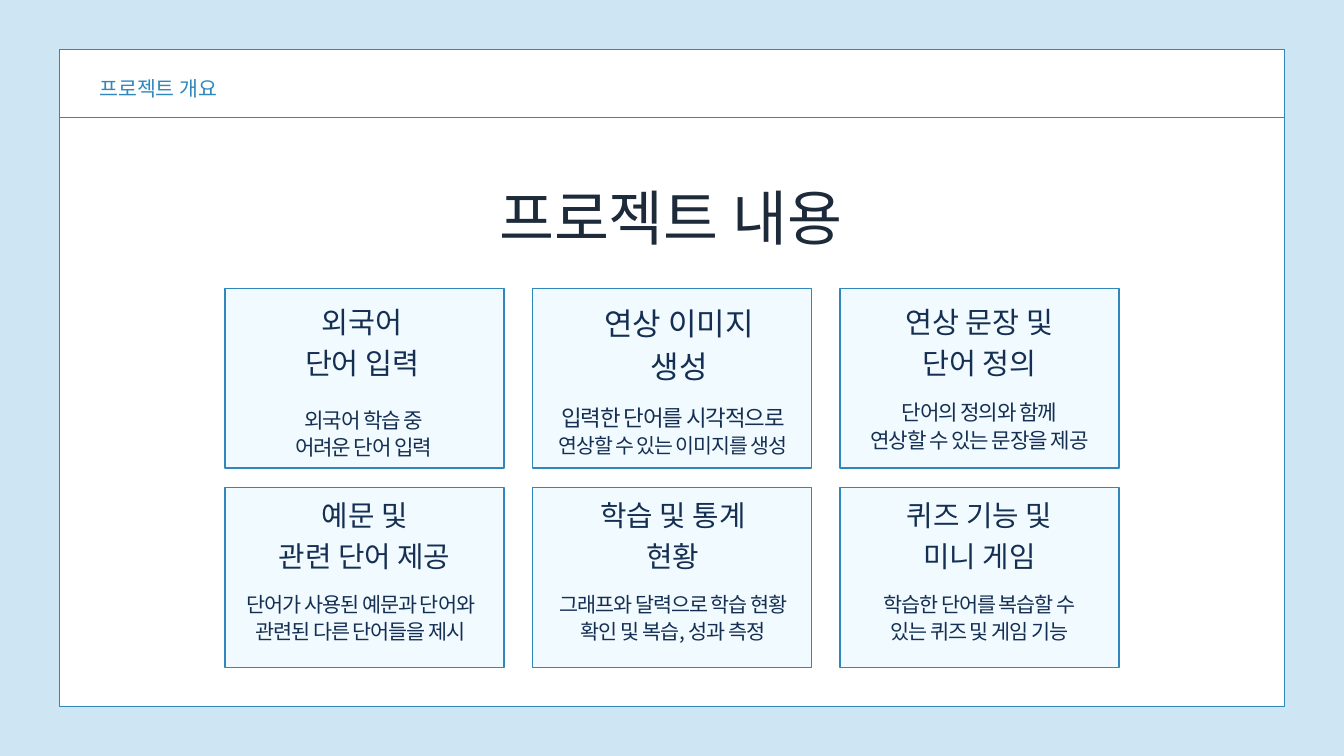
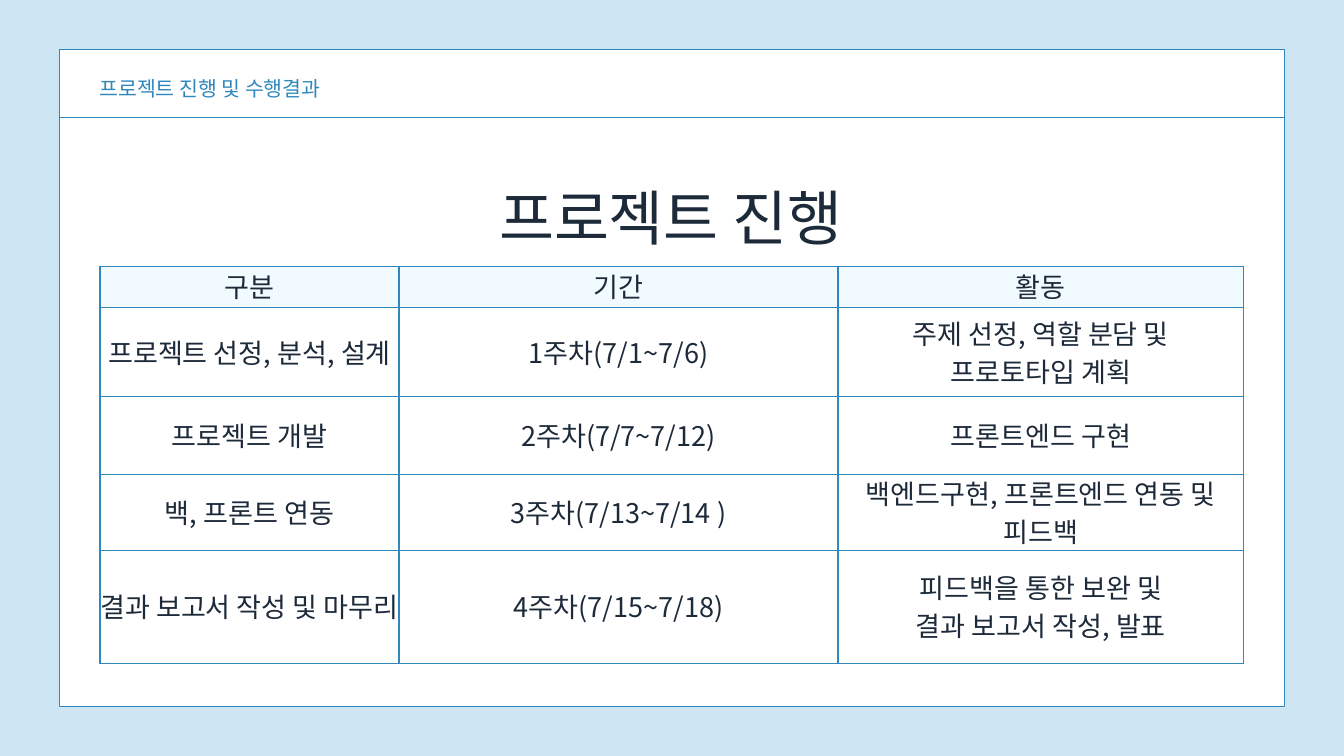
from dataclasses import dataclass
from itertools import product

from lxml.etree import SubElement
from pptx import Presentation
from pptx.dml.color import RGBColor
from pptx.enum.shapes import MSO_CONNECTOR, MSO_SHAPE
from pptx.enum.text import MSO_ANCHOR, MSO_AUTO_SIZE, PP_ALIGN
from pptx.oxml.ns import qn
from pptx.util import Pt


@dataclass(frozen=True)
class Theme:
    font: str = "Noto Sans CJK KR"
    backdrop: RGBColor = RGBColor(0xCE, 0xE6, 0xF4)
    panel: RGBColor = RGBColor(0xFF, 0xFF, 0xFF)
    tint: RGBColor = RGBColor(0xF1, 0xFA, 0xFF)
    accent: RGBColor = RGBColor(0x30, 0x87, 0xBB)
    ink: RGBColor = RGBColor(0x1D, 0x2A, 0x3A)
    navy: RGBColor = RGBColor(0x15, 0x2F, 0x52)
    title_size: float = 64
    section_size: float = 22
    table_size: float = 29
    rule_width: float = 1.5
    leading: float = 1.4
    tight_leading: float = 1.3
    tight_tracking: float = -0.05


@dataclass(frozen=True)
class Feature:
    heading: tuple
    heading_size: float
    body: tuple
    body_sizes: tuple
    body_top: float
    heading_shift: float = 0
    body_shift: float = 0


FEATURES = [
    Feature(("외국어", "단어 입력"), 31.4,
            ("외국어 학습 중", "어려운 단어 입력"), (22.7, 22.7), 434, -2.5, -1),
    Feature(("연상 이미지", "생성"), 33.2,
            ("입력한 단어를 시각적으로", "연상할 수 있는 이미지를 생성"), (24, 22), 431, 7.5, 1),
    Feature(("연상 문장 및", "단어 정의"), 31.4,
            ("단어의 정의와 함께", "연상할 수 있는 문장을 제공"), (22.7, 22.7), 426),
    Feature(("예문 및", "관련 단어 제공"), 30.8,
            ("단어가 사용된 예문과 단어와 관련된 다른 단어들을 제시",), (22.2,), 632, 0, -4.5),
    Feature(("학습 및 통계", "현황"), 30.8,
            ("그래프와 달력으로 학습 현황 확인 및 복습, 성과 측정",), (22.2,), 632, 1, 1),
    Feature(("퀴즈 기능 및", "미니 게임"), 30.8,
            ("학습한 단어를 복습할 수", "있는 퀴즈 및 게임 기능"), (22.2, 22.2), 632),
]

SCHEDULE = [
    [("구분",), ("기간",), ("활동",)],
    [("프로젝트 선정, 분석, 설계",), ("1주차(7/1~7/6)",), ("주제 선정, 역할 분담 및", "프로토타입 계획")],
    [("프로젝트 개발",), ("2주차(7/7~7/12)",), ("프론트엔드 구현",)],
    [("백, 프론트 연동",), ("3주차(7/13~7/14 )",), ("백엔드구현, 프론트엔드 연동 및 피드백",)],
    [("결과 보고서 작성 및 마무리",), ("4주차(7/15~7/18)",), ("피드백을 통한 보완 및", "결과 보고서 작성, 발표")],
]
SCHEDULE_WIDTHS = (320.4, 470.2, 434.9)
SCHEDULE_HEIGHTS = (43.9, 95.8, 83.5, 77, 121)

PANEL_LEFT, PANEL_TOP, PANEL_WIDTH, PANEL_HEIGHT = 64, 53, 1312, 704
HEADER_RULE_Y = 126
CARD_LEFT, CARD_WIDTH, CARD_HEIGHT, CARD_PITCH = 241.2, 299, 192.4, 329.4
CARD_TOPS = (309, 522.5)
HEADING_TOPS = (319.5, 527.5)
HEADING_WIDTH, BODY_WIDTH = 266, 258


class Deck:
    def __init__(self, theme):
        self.theme = theme
        self.presentation = Presentation()
        self.presentation.slide_width = Pt(1440)
        self.presentation.slide_height = Pt(810)
        backdrop = self.presentation.slide_master.background.fill
        backdrop.solid()
        backdrop.fore_color.rgb = theme.backdrop
        self.slide = None

    def start_slide(self, section, title):
        """Add a slide with the framed panel, section label and title."""
        layout = self.presentation.slide_layouts.get_by_name("Title Only")
        self.slide = self.presentation.slides.add_slide(layout)
        self.box(PANEL_LEFT, PANEL_TOP, PANEL_WIDTH, PANEL_HEIGHT, self.theme.panel)
        self.rule(PANEL_LEFT, PANEL_LEFT + PANEL_WIDTH, HEADER_RULE_Y)
        self.text(106.5, 76.5, 274, 30.8, [(section, self.theme.section_size)],
                  self.theme.accent, align=PP_ALIGN.LEFT)
        self.title(title)

    def title(self, wording):
        heading = self.slide.shapes.title
        heading.left, heading.top, heading.width, heading.height = map(Pt, (430, 180.7, 577, 89.6))
        self.slide.shapes._spTree.append(heading._element)  # bring in front of the panel
        self.fill_frame(heading.text_frame, [(wording, self.theme.title_size)], self.theme.ink)

    def box(self, left, top, width, height, color):
        panel = self.slide.shapes.add_shape(
            MSO_SHAPE.RECTANGLE, Pt(left), Pt(top), Pt(width), Pt(height))
        panel.shadow.inherit = False
        panel.fill.solid()
        panel.fill.fore_color.rgb = color
        panel.line.color.rgb = self.theme.accent
        panel.line.width = Pt(self.theme.rule_width)

    def rule(self, start, end, y):
        divider = self.slide.shapes.add_connector(
            MSO_CONNECTOR.STRAIGHT, Pt(start), Pt(y), Pt(end), Pt(y))
        divider.line.color.rgb = self.theme.accent
        divider.line.width = Pt(self.theme.rule_width)
        SubElement(divider._element.spPr, qn("a:effectLst"))

    def text(self, left, top, width, height, lines, color, **style):
        label = self.slide.shapes.add_textbox(Pt(left), Pt(top), Pt(width), Pt(height))
        self.fill_frame(label.text_frame, lines, color, **style)

    def fill_frame(self, frame, lines, color, **style):
        frame.word_wrap = True
        frame.auto_size = MSO_AUTO_SIZE.NONE
        frame.vertical_anchor = MSO_ANCHOR.TOP
        frame.margin_left = frame.margin_right = frame.margin_top = frame.margin_bottom = 0
        self.add_lines(frame, lines, color, **style)

    def add_lines(self, frame, lines, color, align=PP_ALIGN.CENTER, tight=False):
        """Add (wording, size) pairs, one paragraph each."""
        theme = self.theme
        for number, (wording, size) in enumerate(lines):
            paragraph = frame.add_paragraph() if number else frame.paragraphs[0]
            paragraph.alignment = align
            paragraph.space_before = Pt(0)
            paragraph.line_spacing = Pt(size * (theme.tight_leading if tight else theme.leading))
            run = paragraph.add_run()
            run.text = wording
            run.font.size = Pt(size)
            run.font.color.rgb = color
            run.font.name = theme.font
            properties = run._r.get_or_add_rPr()
            SubElement(properties, qn("a:ea")).set("typeface", theme.font)
            if tight:
                properties.set("spc", str(round(size * theme.tight_tracking * 100)))

    def card(self, feature, column, row):
        left = CARD_LEFT + column * CARD_PITCH
        center = left + CARD_WIDTH / 2
        self.box(left, CARD_TOPS[row], CARD_WIDTH, CARD_HEIGHT, self.theme.tint)
        self.text(center + feature.heading_shift - HEADING_WIDTH / 2, HEADING_TOPS[row],
                  HEADING_WIDTH, 86,
                  [(line, feature.heading_size) for line in feature.heading], self.theme.navy)
        self.text(center + feature.body_shift - BODY_WIDTH / 2, feature.body_top,
                  BODY_WIDTH, 58,
                  list(zip(feature.body, feature.body_sizes)), self.theme.navy, tight=True)

    def table(self, left, top, widths, heights, rows):
        grid = self.slide.shapes.add_table(
            len(heights), len(widths), Pt(left), Pt(top), Pt(sum(widths)), Pt(sum(heights))).table
        grid.first_row = grid.horz_banding = False
        for column, width in zip(grid.columns, widths):
            column.width = Pt(width)
        for row, height in zip(grid.rows, heights):
            row.height = Pt(height)
        for r, c in product(range(len(heights)), range(len(widths))):
            cell = grid.cell(r, c)
            cell.margin_left = cell.margin_right = cell.margin_top = cell.margin_bottom = 0
            cell.vertical_anchor = MSO_ANCHOR.MIDDLE
            self.cell_borders(cell)
            if r == 0:
                cell.fill.solid()
                cell.fill.fore_color.rgb = self.theme.tint
            else:
                cell.fill.background()
            lines = [(line, self.theme.table_size) for line in rows[r][c]]
            self.add_lines(cell.text_frame, lines, self.theme.ink)

    def cell_borders(self, cell):
        properties = cell._tc.get_or_add_tcPr()
        for side in ("lnL", "lnR", "lnT", "lnB"):
            border = SubElement(properties, qn(f"a:{side}"), w=str(Pt(self.theme.rule_width)))
            fill = SubElement(border, qn("a:solidFill"))
            SubElement(fill, qn("a:srgbClr"), val=str(self.theme.accent))


def main():
    deck = Deck(Theme())

    deck.start_slide("프로젝트 개요", "프로젝트 내용")
    for index, feature in enumerate(FEATURES):
        row, column = divmod(index, 3)
        deck.card(feature, column, row)

    deck.start_slide("프로젝트 진행 및 수행결과", "프로젝트 진행")
    deck.table(107.2, 285.3, SCHEDULE_WIDTHS, SCHEDULE_HEIGHTS, SCHEDULE)

    deck.presentation.save("out.pptx")


if __name__ == "__main__":
    main()
